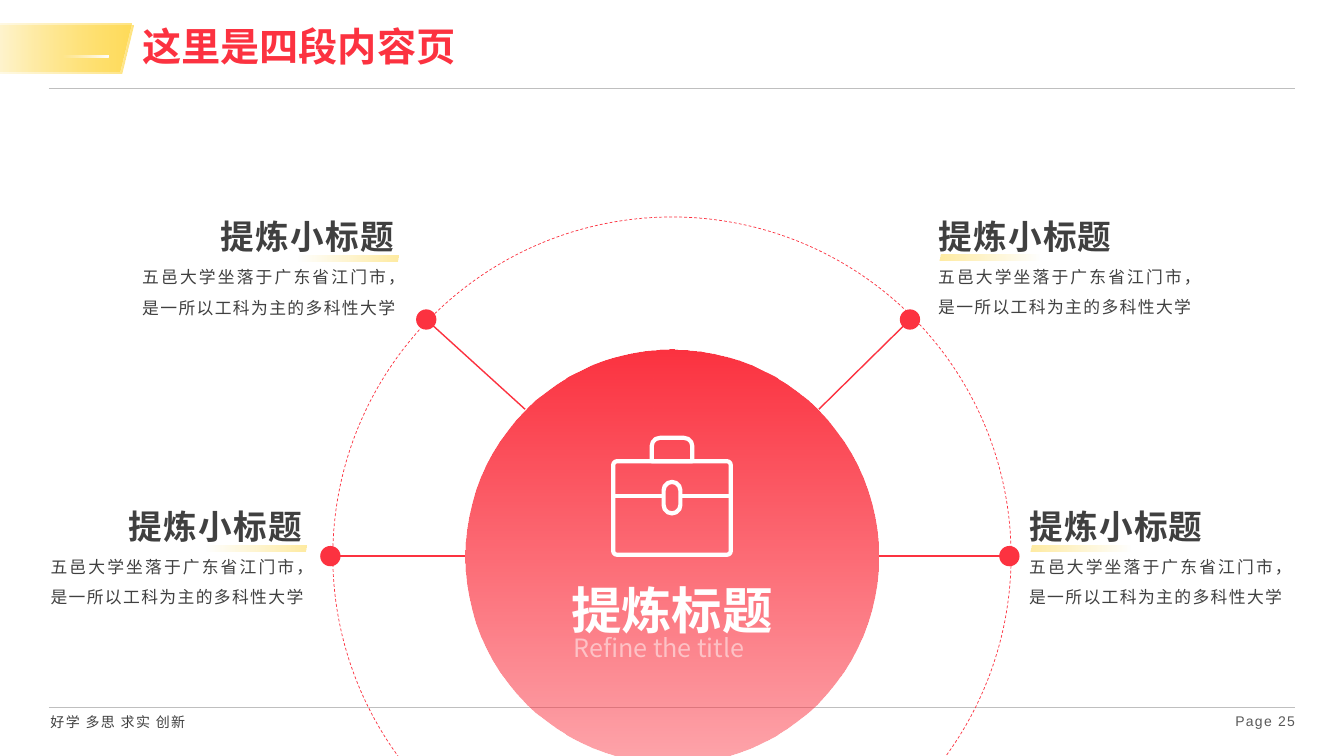
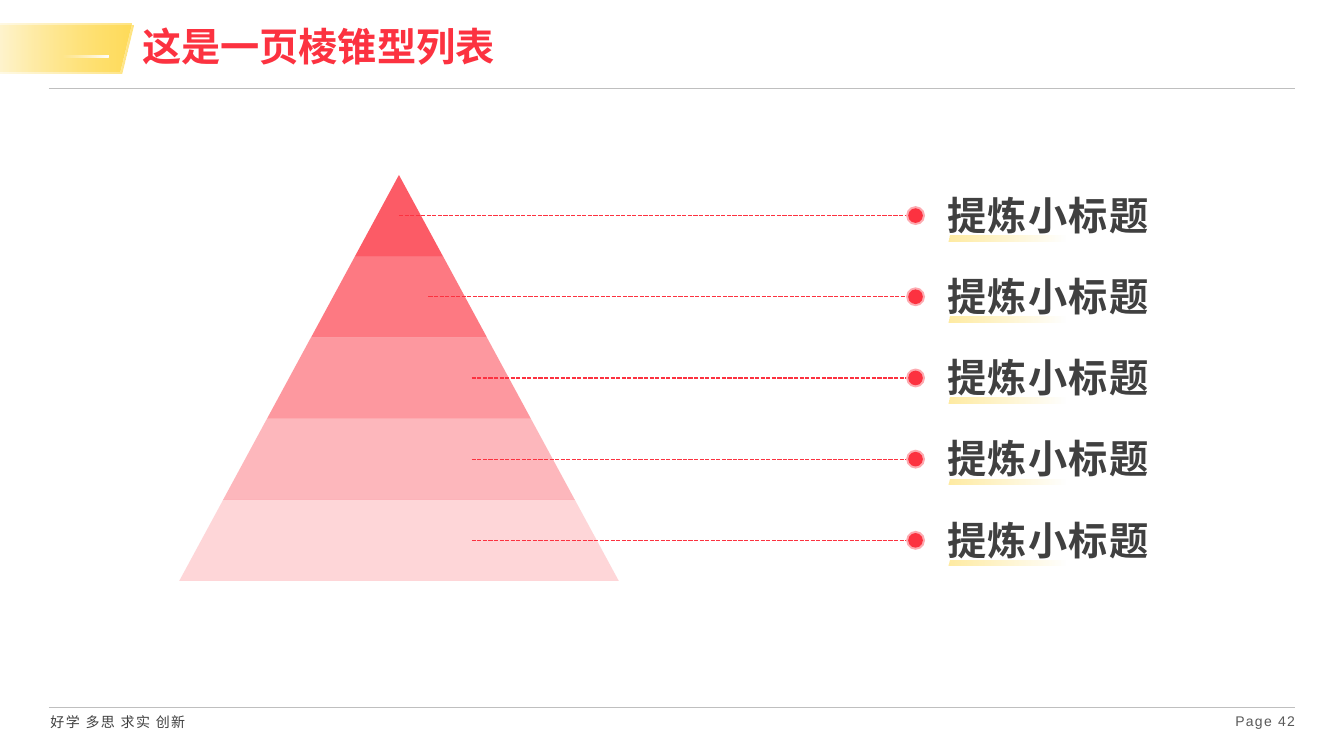
from lxml.etree import SubElement
from pptx import Presentation
from pptx.dml.color import RGBColor
from pptx.enum.dml import MSO_LINE
from pptx.enum.shapes import MSO_CONNECTOR, MSO_SHAPE
from pptx.enum.text import MSO_ANCHOR, PP_ALIGN
from pptx.oxml.ns import qn
from pptx.util import Pt

RED = RGBColor(0xFC, 0x32, 0x40)
YELLOW = RGBColor(0xFF, 0xD8, 0x47)
WHITE = RGBColor(0xFF, 0xFF, 0xFF)
DARK = RGBColor(0x40, 0x40, 0x40)
GREY = RGBColor(0x59, 0x59, 0x59)
RULE = RGBColor(0xBF, 0xBF, 0xBF)
CJK_FONT = "Noto Sans CJK SC"
LATIN_FONT = "Arial"

SLIDE_WIDTH, SLIDE_HEIGHT = 960, 540
SUBHEADING = "提炼小标题"
DESCRIPTION = "五邑大学坐落于广东省江门市，是一所以工科为主的多科性大学"


# Drawing helpers, all lengths in points
def set_opacity(shape, *percents):
    for colour, percent in zip(shape.element.iter(qn("a:srgbClr")), percents):
        SubElement(colour, qn("a:alpha"), val=str(percent * 1000))


def add_shape(slide, kind, left, top, width, height, fill=None, line=None, weight=1):
    shape = slide.shapes.add_shape(kind, Pt(left), Pt(top), Pt(width), Pt(height))
    return style_shape(shape, fill, line, weight)


def style_shape(shape, fill=None, line=None, weight=1):
    shape.shadow.inherit = False
    if fill is None:
        shape.fill.background()
    else:
        shape.fill.solid()
        shape.fill.fore_color.rgb = fill
    if line is None:
        shape.line.fill.background()
    else:
        shape.line.color.rgb = line
        shape.line.width = Pt(weight)
    return shape


def add_circle(slide, x, y, radius, fill=None, line=None, weight=1):
    return add_shape(slide, MSO_SHAPE.OVAL, x - radius, y - radius,
                     2 * radius, 2 * radius, fill, line, weight)


def fade(shape, colour, angle, first, last):
    shape.fill.gradient()
    shape.fill.gradient_angle = angle
    for stop in shape.fill.gradient_stops:
        stop.color.rgb = colour
    set_opacity(shape, first, last)


def add_slant(slide, left, top, width, height, colour, left_opacity, right_opacity):
    slant = add_shape(slide, MSO_SHAPE.PARALLELOGRAM, left, top, width, height, colour)
    fade(slant, colour, 180, right_opacity, left_opacity)


def add_line(slide, x1, y1, x2, y2, colour, weight, dash=None):
    line = slide.shapes.add_connector(MSO_CONNECTOR.STRAIGHT, Pt(x1), Pt(y1), Pt(x2), Pt(y2))
    line.line.color.rgb = colour
    line.line.width = Pt(weight)
    if dash is not None:
        line.line.dash_style = dash
    SubElement(line.element.spPr, qn("a:effectLst"))


def add_text(slide, left, top, width, height, text, size, colour, bold=False,
             align=PP_ALIGN.JUSTIFY, spacing=0, line_spacing=1.0,
             font_name=CJK_FONT, anchor=MSO_ANCHOR.TOP):
    box = slide.shapes.add_textbox(Pt(left), Pt(top), Pt(width), Pt(height))
    frame = box.text_frame
    frame.word_wrap = True
    frame.vertical_anchor = anchor
    paragraph = frame.paragraphs[0]
    paragraph.text = text
    paragraph.alignment = align
    paragraph.line_spacing = line_spacing
    font = paragraph.font
    font.name, font.size, font.bold = font_name, Pt(size), bold
    font.color.rgb = colour
    # East Asian typeface and letter spacing
    for properties in box.element.iter(qn("a:defRPr")):
        properties.set("spc", str(round(spacing * 100)))
        SubElement(properties, qn("a:ea"), typeface=CJK_FONT)
    return box


# Shared frame: rules, footer, title band
def add_frame(deck, title, page):
    slide = deck.slides.add_slide(deck.slide_layouts[6])
    for y in (63, 505.5):
        add_line(slide, 35, y, 925, y, RULE, 0.5)
    add_text(slide, 29, 506, 155, 19.5, "好学 多思 求实 创新", 10, DARK,
             spacing=1, font_name=LATIN_FONT)
    folio = add_text(slide, 825, 505.5, 100, 23, f"Page {page}", 10, GREY,
                     align=PP_ALIGN.RIGHT, spacing=0.9, font_name=LATIN_FONT)
    folio.text_frame.margin_right = 0
    for left, top in ((-24.5, 18), (-26, 16.5)):
        add_slant(slide, left, top, 120, 34.5, YELLOW, 0, 68)
    add_slant(slide, 44.5, 39.5, 33, 1.75, WHITE, 0, 100)
    add_text(slide, 94.5, 17, 647, 35, title, 28, RED, bold=True, align=PP_ALIGN.LEFT,
             line_spacing=0.9, anchor=MSO_ANCHOR.MIDDLE)
    return slide


def add_subheading(slide, left, top, width, size, underline_right=False):
    add_text(slide, left, top, width, 1.5 * size, SUBHEADING, size, DARK,
             bold=True, spacing=1)
    underline_top, underline_width = top + 10 + 0.9 * size, 3 * size
    if underline_right:
        add_slant(slide, left + width - 13 - underline_width, underline_top,
                  underline_width, 4, YELLOW, 0, 51)
    else:
        add_slant(slide, left + 8, underline_top, underline_width, 4, YELLOW, 51, 0)


# Radial slide
def add_callout(slide, left, top, width, on_left):
    heading_width = 147
    heading_left = left + width - heading_width if on_left else left
    add_text(slide, left, top + 29, width, 48, DESCRIPTION, 12, DARK,
             spacing=1, line_spacing=1.5)
    add_subheading(slide, heading_left, top, heading_width, 24, on_left)


def add_briefcase(slide, left, top, width, height):
    stroke = 3
    middle = left + width / 2
    case_top = top + 0.2 * height
    case = add_shape(slide, MSO_SHAPE.ROUNDED_RECTANGLE, left, case_top, width,
                     0.8 * height, line=WHITE, weight=stroke)
    case.adjustments[0] = 0.04
    handle = add_shape(slide, MSO_SHAPE.ROUND_2_SAME_RECTANGLE, middle - 14.5, top, 29,
                       0.2 * height, line=WHITE, weight=stroke)
    handle.adjustments[0] = 0.35
    clasp = add_shape(slide, MSO_SHAPE.ROUNDED_RECTANGLE, middle - 6, top + 31.5, 12, 22.5,
                      line=WHITE, weight=stroke)
    clasp.adjustments[0] = 0.5
    seam = top + 0.5 * height
    add_line(slide, left, seam, middle - 6, seam, WHITE, stroke)
    add_line(slide, middle + 6, seam, left + width, seam, WHITE, stroke)


def add_hub(slide, x, y, ring_radius, core_radius):
    diagonal = core_radius * 0.71
    # Node offset and spoke start, both from the centre
    spokes = [
        ((170, -169), (diagonal, -diagonal)),
        ((-175.5, -169), (-diagonal, -diagonal)),
        ((-244, 0), (-core_radius, 0)),
        ((241, 0), (core_radius, 0)),
    ]
    ring = add_circle(slide, x, y, ring_radius, line=RED, weight=0.5)
    ring.line.dash_style = MSO_LINE.DASH
    for (node_x, node_y), (start_x, start_y) in spokes:
        add_circle(slide, x + node_x, y + node_y, 7.25, RED)
        add_line(slide, x + start_x, y + start_y, x + node_x, y + node_y, RED, 1)
    core = add_circle(slide, x, y, core_radius, RED)
    fade(core, RED, 270, 100, 44)
    add_text(slide, x - 80, y + 12.5, 160, 51, "提炼标题", 36, WHITE, bold=True,
             align=PP_ALIGN.CENTER)
    subtitle = add_text(slide, x - 77.5, y + 51, 155, 29, "Refine the title", 18, WHITE)
    set_opacity(subtitle, 50)
    add_briefcase(slide, x - 42, y - 84.5, 84, 83.5)


def build_radial_slide(deck):
    slide = add_frame(deck, "这里是四段内容页", 25)
    add_hub(slide, 480, 397.25, 242.25, 147.75)
    for left, top, on_left in ((663, 150.5, False), (728, 358, False),
                               (94.5, 151, True), (29, 358, True)):
        add_callout(slide, left, top, 203, on_left)


# Pyramid slide
def add_tier(slide, apex_x, top, height, half_top, half_base, opacity):
    outline = slide.shapes.build_freeform(Pt(apex_x - half_base), Pt(top + height), scale=1.0)
    outline.add_line_segments([
        (Pt(apex_x - half_top), Pt(top)),
        (Pt(apex_x + half_top), Pt(top)),
        (Pt(apex_x + half_base), Pt(top + height)),
    ], close=True)
    tier = style_shape(outline.convert_to_shape(), RED)
    set_opacity(tier, opacity)


def add_pyramid(slide, left, top, width, height):
    leader_starts = (0, 21, 52, 52, 52)
    tier_height = height / len(leader_starts)
    half_step = width / 2 / len(leader_starts)
    apex_x = left + width / 2
    for level in range(len(leader_starts)):
        add_tier(slide, apex_x, top + level * tier_height, tier_height,
                 level * half_step, (level + 1) * half_step, 80 - 15 * level)
    for level, start in enumerate(leader_starts):
        middle = top + (level + 0.5) * tier_height
        marker_x = 654
        halo = add_circle(slide, marker_x, middle, 6.75, RED)
        set_opacity(halo, 41)
        add_line(slide, apex_x + start, middle, marker_x - 6.75, middle, RED, 1,
                 MSO_LINE.SQUARE_DOT)
        add_circle(slide, marker_x, middle, 5.25, RED)
        add_subheading(slide, 669.5, middle - 21, 163, 28)


def build_pyramid_slide(deck):
    slide = add_frame(deck, "这是一页棱锥型列表", 42)
    add_pyramid(slide, 128, 125, 314, 290)


def main():
    deck = Presentation()
    deck.slide_width, deck.slide_height = Pt(SLIDE_WIDTH), Pt(SLIDE_HEIGHT)
    build_radial_slide(deck)
    build_pyramid_slide(deck)
    deck.save("out.pptx")


if __name__ == "__main__":
    main()
